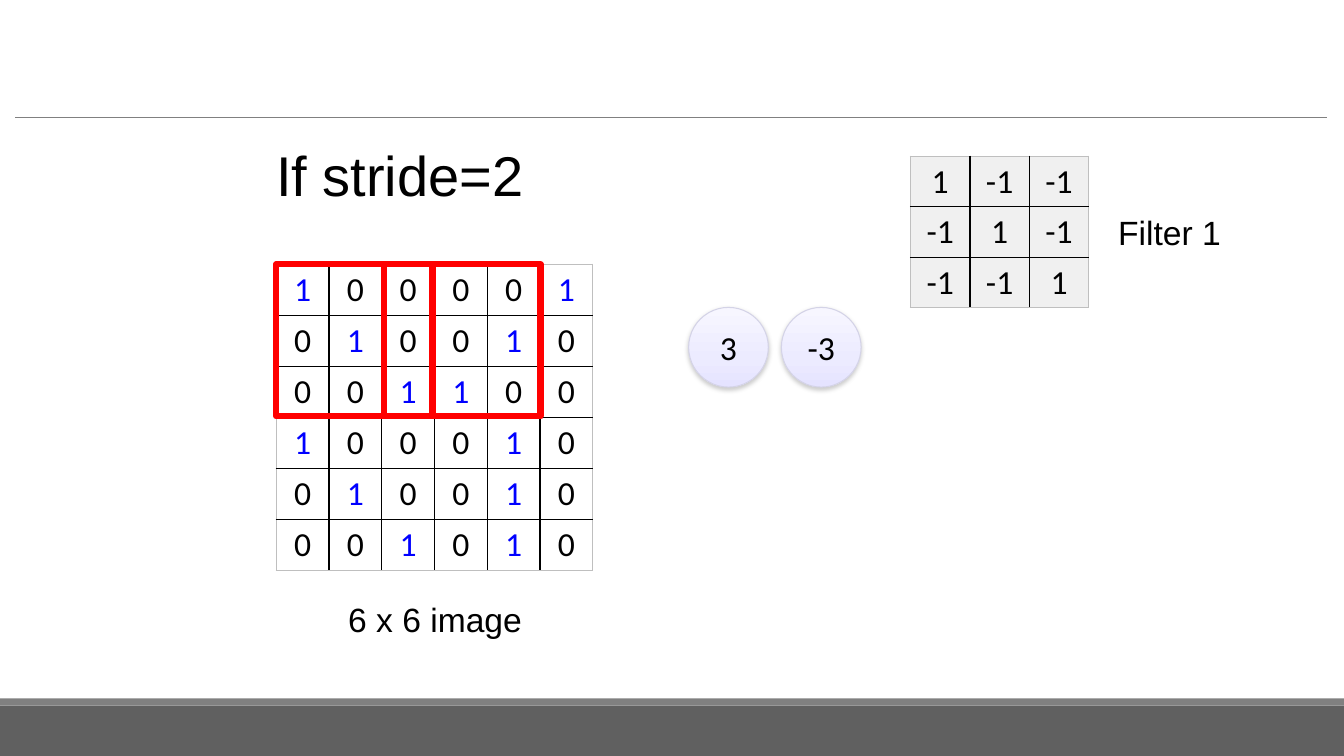
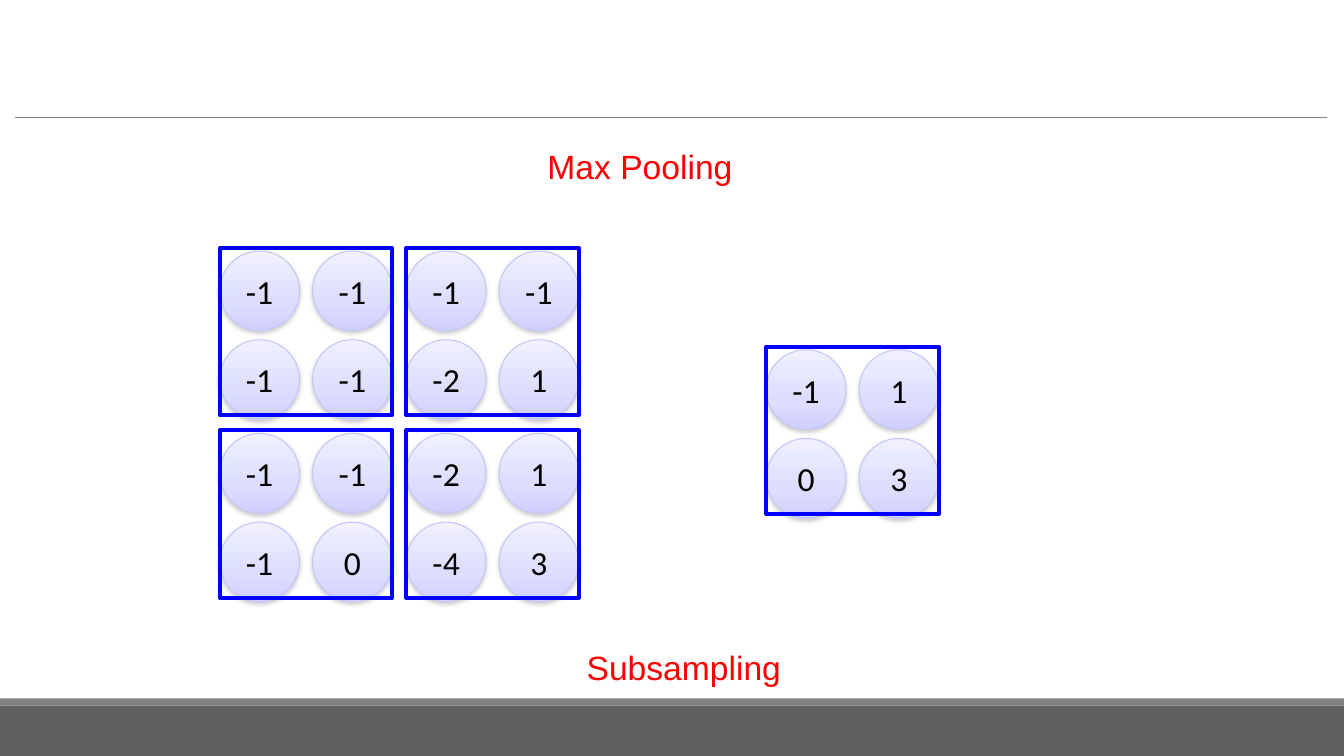
from pptx import Presentation
from pptx.dml.color import RGBColor
from pptx.enum.shapes import MSO_CONNECTOR, MSO_SHAPE, PP_PLACEHOLDER
from pptx.enum.text import MSO_ANCHOR, MSO_AUTO_SIZE, PP_ALIGN
from pptx.oxml import parse_xml
from pptx.oxml.ns import nsdecls, qn
from pptx.util import Inches, Pt

RECTANGLE, OVAL = MSO_SHAPE.RECTANGLE, MSO_SHAPE.OVAL
STRAIGHT = MSO_CONNECTOR.STRAIGHT
TITLE = PP_PLACEHOLDER.TITLE
LEFT, CENTER = PP_ALIGN.LEFT, PP_ALIGN.CENTER
TOP, MIDDLE = MSO_ANCHOR.TOP, MSO_ANCHOR.MIDDLE
NO_AUTOFIT = MSO_AUTO_SIZE.NONE

BLACK = RGBColor(0x00, 0x00, 0x00)
RED = RGBColor(0xFF, 0x00, 0x00)
BLUE = RGBColor(0x00, 0x00, 0xFF)
DARK_GRAY = RGBColor(0x60, 0x60, 0x60)
MID_GRAY = RGBColor(0x80, 0x80, 0x80)
EDGE_GRAY = RGBColor(0xBF, 0xBF, 0xBF)
FILTER_GRAY = RGBColor(0xF0, 0xF0, 0xF0)
PALE_STOPS = {0: RGBColor(0xF7, 0xF6, 0xFF), 65: RGBColor(0xEC, 0xEB, 0xFF),
              100: RGBColor(0xE5, 0xE3, 0xFF)}
PALE_EDGE = RGBColor(0xD4, 0xD3, 0xE7)
LILAC_STOPS = {0: RGBColor(0xF0, 0xF0, 0xFF), 65: RGBColor(0xDD, 0xDD, 0xFF),
               100: RGBColor(0xD0, 0xD0, 0xFF)}
LILAC_EDGE = RGBColor(0xC6, 0xC6, 0xFB)

TEXT_FONT, NUMBER_FONT = "Arial", "Calibri"
SLIDE_WIDTH, SLIDE_HEIGHT = 13.33, 7.5
ROW_HEIGHT = 0.5
CIRCLE_SIZE = 0.79
CIRCLE_PITCH_X, CIRCLE_PITCH_Y = 0.92, 0.88
BLOCK_PITCH_X, BLOCK_PITCH_Y = 1.85, 1.81

IMAGE_PIXELS = [
    [1, 0, 0, 0, 0, 1],
    [0, 1, 0, 0, 1, 0],
    [0, 0, 1, 1, 0, 0],
    [1, 0, 0, 0, 1, 0],
    [0, 1, 0, 0, 1, 0],
    [0, 0, 1, 0, 1, 0],
]
FILTER_WEIGHTS = [[1, -1, -1], [-1, 1, -1], [-1, -1, 1]]
POOLING_BLOCKS = [
    [[[-1, -1], [-1, -1]], [[-1, -1], [-2, 1]]],
    [[[-1, -1], [-1, 0]], [[-2, 1], [-4, 3]]],
]
POOLED_VALUES = [[-1, 1], [0, 3]]


def box(left, top, width, height):
    """Return a position and size in inches as slide lengths."""
    return [Inches(value) for value in (left, top, width, height)]


def write_text(frame, text, size=24, color=BLACK, font=TEXT_FONT, align=CENTER):
    """Fill a text frame with one formatted paragraph."""
    frame.text = text
    paragraph = frame.paragraphs[0]
    paragraph.alignment = align
    for run in paragraph.runs:
        run.font.name = font
        run.font.size = Pt(size)
        run.font.color.rgb = color


def add_band(slide, top, height, color):
    """Add a full-width footer band."""
    band = slide.shapes.add_shape(RECTANGLE, *box(0, top, SLIDE_WIDTH, height))
    band.shadow.inherit = False
    band.fill.solid()
    band.fill.fore_color.rgb = color
    band.line.fill.background()
    return band


def add_rule(slide):
    """Add the thin line under the header area."""
    rule = slide.shapes.add_connector(STRAIGHT, Inches(0.15), Inches(1.16),
                                      Inches(13.16), Inches(1.16))
    rule.line.color.rgb = MID_GRAY
    rule.line.width = Pt(0.5)
    rule.element.spPr.append(parse_xml(f"<a:effectLst {nsdecls('a')}/>"))
    return rule


def decorate_layout(layout, slide):
    """Clear the layout's footers and move the shared bands and rule into it."""
    for placeholder in list(layout.placeholders):
        if placeholder.placeholder_format.type != TITLE:
            placeholder.element.getparent().remove(placeholder.element)
    decorations = [add_band(slide, 7, 0.5, DARK_GRAY),
                   add_band(slide, 6.93, 0.07, MID_GRAY),
                   add_rule(slide)]
    for decoration in decorations:
        layout.shapes.element.append(decoration.element)


def set_title(slide, text, position, size, color, wrap=True):
    """Place and format the slide's title."""
    title = slide.shapes.title
    title.left, title.top, title.width, title.height = box(*position)
    write_text(title.text_frame, text, size, color, align=LEFT)
    title.text_frame.word_wrap = wrap
    title.text_frame.auto_size = NO_AUTOFIT
    title.text_frame.vertical_anchor = TOP


def add_label(slide, text, position, color=BLACK, align=CENTER):
    """Add a plain text label."""
    label = slide.shapes.add_textbox(*box(*position))
    label.text_frame.word_wrap = True
    write_text(label.text_frame, text, color=color, align=align)


def set_border(cell, side, color):
    """Append one border line to a cell."""
    cell._tc.get_or_add_tcPr().append(parse_xml(
        f'<a:{side} {nsdecls("a")} w="12700"><a:solidFill>'
        f'<a:srgbClr val="{color}"/></a:solidFill></a:{side}>'))


def add_matrix(slide, values, left, top, width, fill=None, one_color=BLACK):
    """Add a grid of numbers with dark inner and light outer borders."""
    rows, columns = len(values), len(values[0])
    table = slide.shapes.add_table(
        rows, columns, *box(left, top, width, rows * ROW_HEIGHT)).table
    table.first_row = table.horz_banding = False
    for column in table.columns:
        column.width = Inches(width / columns)
    for row, numbers in enumerate(values):
        for column, number in enumerate(numbers):
            cell = table.cell(row, column)
            write_text(cell.text_frame, str(number), font=NUMBER_FONT,
                       color=one_color if number == 1 else BLACK)
            outer_sides = {"lnL": column == 0, "lnR": column == columns - 1,
                           "lnT": row == 0, "lnB": row == rows - 1}
            for side, is_outer in outer_sides.items():
                set_border(cell, side, EDGE_GRAY if is_outer else BLACK)
            if fill is None:
                cell.fill.background()
            else:
                cell.fill.solid()
                cell.fill.fore_color.rgb = fill


def add_frame(slide, position, color, weight):
    """Add an unfilled rectangle that marks a region."""
    frame = slide.shapes.add_shape(RECTANGLE, *box(*position))
    frame.shadow.inherit = False
    frame.fill.background()
    frame.line.color.rgb = color
    frame.line.width = Pt(weight)


def add_value_circle(slide, number, left, top, stops, edge):
    """Add a shaded circle holding one number."""
    circle = slide.shapes.add_shape(OVAL, *box(left, top, CIRCLE_SIZE, CIRCLE_SIZE))
    properties = circle.element.spPr
    stop_xml = "".join(f'<a:gs pos="{place * 1000}"><a:srgbClr val="{color}"/></a:gs>'
                       for place, color in stops.items())
    properties.find(qn("a:prstGeom")).addnext(parse_xml(
        f'<a:gradFill {nsdecls("a")} rotWithShape="1"><a:gsLst>{stop_xml}</a:gsLst>'
        '<a:lin ang="5400000" scaled="0"/></a:gradFill>'))
    circle.line.color.rgb = edge
    circle.line.width = Pt(0.75)
    circle.shadow.inherit = False
    properties.find(qn("a:effectLst")).append(parse_xml(
        f'<a:outerShdw {nsdecls("a")} blurRad="{Pt(3.1)}" dist="{Pt(1.6)}" '
        'dir="5400000" rotWithShape="0"><a:srgbClr val="808080">'
        '<a:alpha val="38000"/></a:srgbClr></a:outerShdw>'))
    write_text(circle.text_frame, str(number), font=NUMBER_FONT)
    circle.text_frame.word_wrap = False
    circle.text_frame.vertical_anchor = MIDDLE


def add_pooling_block(slide, values, left, top):
    """Add a framed two-by-two group of value circles."""
    for row, numbers in enumerate(values):
        for column, number in enumerate(numbers):
            add_value_circle(slide, number, left + column * CIRCLE_PITCH_X,
                             top + row * CIRCLE_PITCH_Y, LILAC_STOPS, LILAC_EDGE)
    add_frame(slide, (left, top - 0.03, 1.71, 1.66), BLUE, 3)


def build_stride_slide(slide):
    """Show the filter moving over the image with a stride of two."""
    set_title(slide, "If stride=2", (2.64, 1.34, 2.68, 0.77), 40, BLACK, wrap=False)
    add_matrix(slide, IMAGE_PIXELS, 2.74, 2.62, 3.14, one_color=BLUE)
    add_label(slide, "6 x 6 image", (3.03, 5.89, 2.57, 0.5))
    add_matrix(slide, FILTER_WEIGHTS, 9.03, 1.55, 1.77, fill=FILTER_GRAY)
    add_label(slide, "Filter 1", (10.81, 2.05, 1.58, 0.51))
    for step, product in enumerate((3, -3)):
        add_frame(slide, (2.74 + step * 1.07, 2.62, 1.55, 1.51), RED, 4.5)
        add_value_circle(slide, product, 6.83 + step * CIRCLE_PITCH_X, 3.05,
                         PALE_STOPS, PALE_EDGE)


def build_pooling_slide(slide):
    """Show each block reduced to its largest value."""
    set_title(slide, "Max Pooling", (5.33, 1.4, 2.27, 0.51), 24, RED)
    for row, blocks in enumerate(POOLING_BLOCKS):
        for column, values in enumerate(blocks):
            add_pooling_block(slide, values, 2.18 + column * BLOCK_PITCH_X,
                              2.49 + row * BLOCK_PITCH_Y)
    add_pooling_block(slide, POOLED_VALUES, 7.6, 3.47)
    add_label(slide, "Subsampling", (5.72, 6.37, 2.27, 0.51), RED, LEFT)


def main():
    """Build and save the presentation."""
    presentation = Presentation()
    presentation.slide_width = Inches(SLIDE_WIDTH)
    presentation.slide_height = Inches(SLIDE_HEIGHT)
    layout = presentation.slide_layouts[5]
    stride_slide = presentation.slides.add_slide(layout)
    pooling_slide = presentation.slides.add_slide(layout)
    decorate_layout(layout, stride_slide)
    build_stride_slide(stride_slide)
    build_pooling_slide(pooling_slide)
    presentation.save("out.pptx")


if __name__ == "__main__":
    main()
